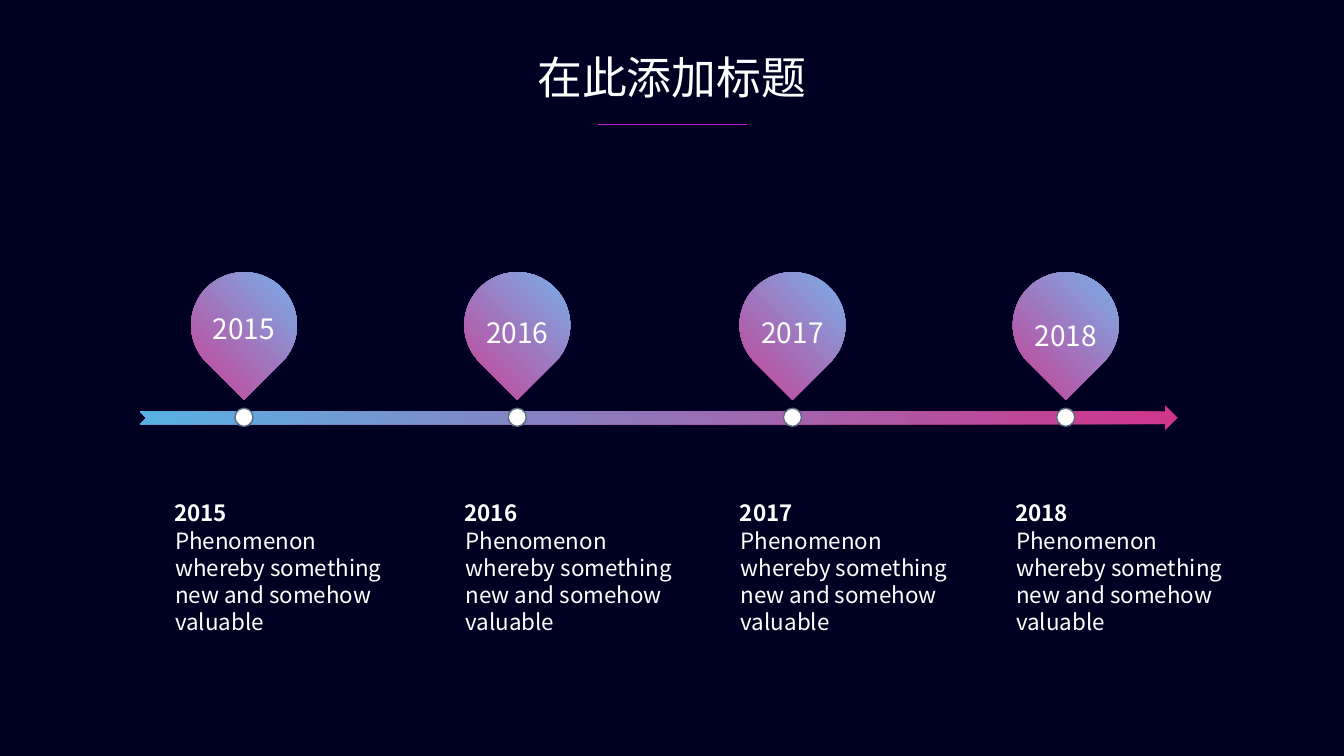
from pptx import Presentation
from pptx.dml.color import RGBColor
from pptx.enum.shapes import MSO_CONNECTOR, MSO_SHAPE
from pptx.enum.text import MSO_ANCHOR, PP_ALIGN
from pptx.oxml.ns import qn
from pptx.util import Inches, Pt
from lxml.etree import SubElement

COLORS = {
    "background": "000022",
    "text": "FFFFFF",
    "rule": "B81FD0",
    "pink": "D0358C",
    "arrow_blue": "58B1E4",
    "pin_blue": "68C4F9",
    "dot_line": "5A6C7D",
}
FONT = "Noto Sans CJK SC"
DESCRIPTION = "Phenomenon whereby something new and somehow valuable"
MILESTONES = [
    ("2015", 2.42, 2.97, 1.63),
    ("2016", 5.13, 3.01, 4.51),
    ("2017", 7.86, 3.01, 7.24),
    ("2018", 10.57, 3.04, 9.97),
]


class TimelineSlide:
    def __init__(self, presentation):
        self.slide = presentation.slides.add_slide(presentation.slide_layouts[5])
        fill = self.slide.background.fill
        fill.solid()
        fill.fore_color.rgb = self.color("background")

    def color(self, name):
        return RGBColor.from_string(COLORS[name])

    def fill_text(self, shape, text, size, align, bold=False, spacing=1.0):
        frame = shape.text_frame
        frame.word_wrap = True
        paragraph = frame.paragraphs[0]
        paragraph.alignment = align
        paragraph.line_spacing = spacing
        run = paragraph.add_run()
        run.text = text
        run.font.name = FONT
        run.font.size = Pt(size)
        run.font.bold = bold
        run.font.color.rgb = self.color("text")
        SubElement(run.font._element, qn("a:ea"), typeface=FONT)

    def title(self, text, left, top, width, height):
        shape = self.slide.shapes.title
        shape.left, shape.top = Inches(left), Inches(top)
        shape.width, shape.height = Inches(width), Inches(height)
        shape.text_frame.vertical_anchor = MSO_ANCHOR.MIDDLE
        self.fill_text(shape, text, 32, PP_ALIGN.CENTER)

    def text(self, text, left, top, width, height, size=16, align=PP_ALIGN.LEFT, **style):
        shape = self.slide.shapes.add_textbox(
            Inches(left), Inches(top), Inches(width), Inches(height))
        self.fill_text(shape, text, size, align, **style)

    def rule(self, left, right, top):
        connector = self.slide.shapes.add_connector(
            MSO_CONNECTOR.STRAIGHT, Inches(left), Inches(top), Inches(right), Inches(top))
        connector.line.color.rgb = self.color("rule")
        connector.line.width = Pt(0.5)
        SubElement(connector._element.spPr, qn("a:effectLst"))

    def shape(self, kind, left, top, width, height):
        shape = self.slide.shapes.add_shape(
            kind, Inches(left), Inches(top), Inches(width), Inches(height))
        shape.shadow.inherit = False
        return shape

    def gradient_shape(self, kind, left, top, width, height, blue, rotation=0):
        shape = self.shape(kind, left, top, width, height)
        shape.rotation = rotation
        shape.line.fill.background()
        shape.fill.gradient()
        shape.fill.gradient_angle = 180
        for stop, name in zip(shape.fill.gradient_stops, ("pink", blue)):
            stop.color.rgb = self.color(name)

    def dot(self, center, top, size):
        shape = self.shape(MSO_SHAPE.OVAL, center - size / 2, top, size, size)
        shape.fill.solid()
        shape.fill.fore_color.rgb = self.color("text")
        shape.line.color.rgb = self.color("dot_line")
        shape.line.width = Pt(1)

    def milestone(self, year, center, year_top, text_left):
        self.dot(center, 4.05, 0.18)
        self.gradient_shape(
            MSO_SHAPE.TEAR, center - 0.525, 2.7, 1.05, 1.05, "pin_blue", rotation=135)
        self.text(year, center - 0.46, year_top, 0.92, 0.47,
                  size=20, align=PP_ALIGN.CENTER, spacing=1.2)
        self.text(DESCRIPTION, text_left + 0.01, 5.18, 2.53, 1.18)
        self.text(year, text_left, 4.9, 1.24, 0.37, bold=True)


def main():
    presentation = Presentation()
    presentation.slide_width = Inches(13.33)
    presentation.slide_height = Inches(7.5)
    timeline = TimelineSlide(presentation)
    timeline.title("在此添加标题", 4.51, 0.44, 4.31, 0.64)
    timeline.rule(5.93, 7.41, 1.23)
    timeline.gradient_shape(
        MSO_SHAPE.NOTCHED_RIGHT_ARROW, 1.39, 4.02, 10.29, 0.25, "arrow_blue")
    for milestone in MILESTONES:
        timeline.milestone(*milestone)
    presentation.save("out.pptx")


if __name__ == "__main__":
    main()
